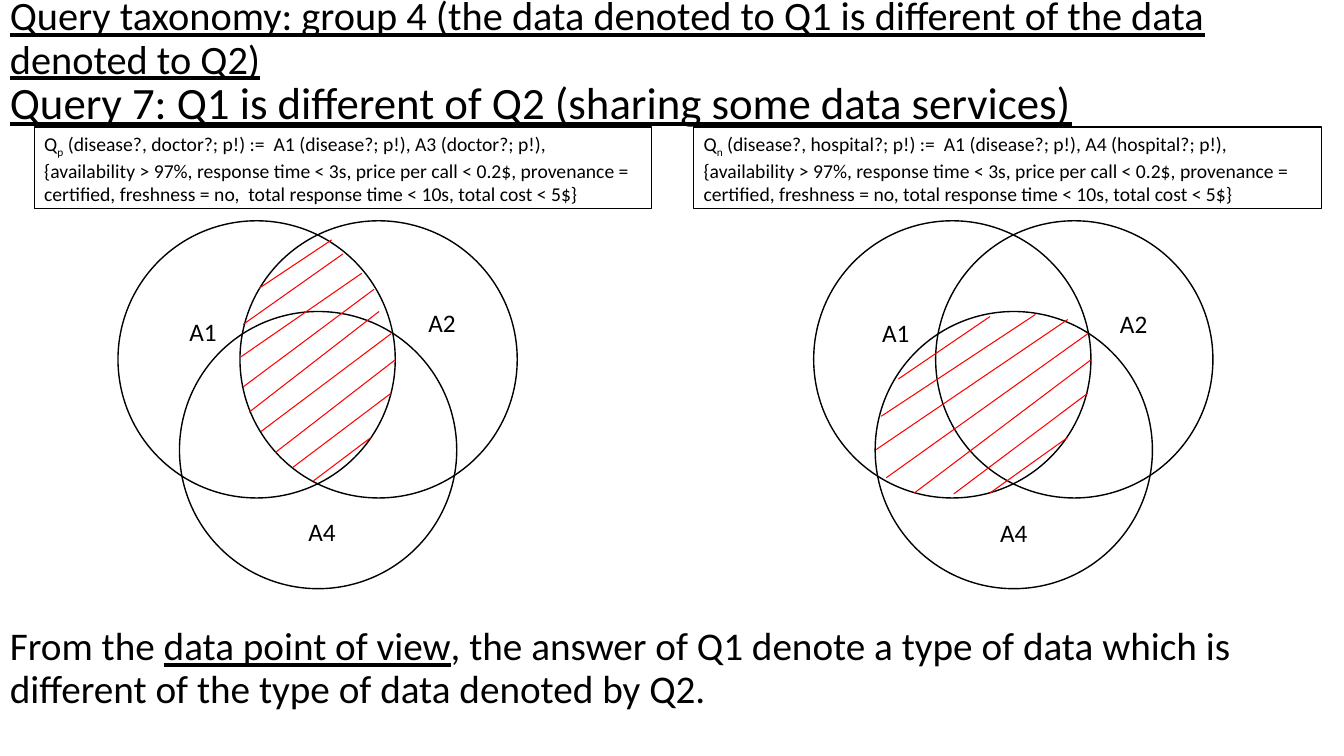
import pptx
import pptx.util
import pptx.dml.color
import pptx.enum.shapes
import pptx.enum.text
import pptx.oxml.ns
from lxml import etree

PX = 9144  # EMU per px, 100 px to the inch
FONT = "Calibri"
COLORS = {name: pptx.dml.color.RGBColor.from_string(value)
          for name, value in {"ink": "000000", "hatch": "FF0000"}.items()}

deck = pptx.Presentation()
deck.slide_width = 1333 * PX
deck.slide_height = 750 * PX
page = deck.slides.add_slide(deck.slide_layouts[6])


def add_text(shapes, bounds, paragraphs, size, wrap=True):
    """Each paragraph is a list of spans."""
    box = shapes.add_textbox(*[value * PX for value in bounds])
    frame = box.text_frame
    frame.word_wrap = wrap
    for number, spans in enumerate(paragraphs):
        para = frame.add_paragraph() if number else frame.paragraphs[0]
        for words in spans:
            span = para.add_run()
            span.text = words
            span.font.name = FONT
            span.font.size = pptx.util.Pt(size)
            span.font.color.rgb = COLORS["ink"]
    return box


# Headings and conclusion
headings = [
    (0, 28.8, "Query taxonomy: group 4 (the data denoted to Q1 is different of the data denoted to Q2)"),
    (65, 32, "Query 7: Q1 is different of Q2 (sharing some data services)"),
]
for top, size, words in headings:
    heading = add_text(page.shapes, (0, top, 1333, 78), [[words]], size)
    heading.text_frame.vertical_anchor = pptx.enum.text.MSO_ANCHOR.MIDDLE
    heading.text_frame.paragraphs[0].line_spacing = 0.9
    heading.text_frame.paragraphs[0].runs[0].font.underline = True

conclusion = add_text(page.shapes, (0, 617, 1333, 109), [[
    "From the ", "data point of view",
    ", the answer of Q1 denote a type of data which is different of the type of data denoted by Q2.",
]], 28)
conclusion.text_frame.paragraphs[0].line_spacing = 0.9
conclusion.text_frame.paragraphs[0].runs[1].font.underline = True

# Query definitions
LIMITS = ("{{availability > 97%, response time < 3s, price per call < 0.2$, provenance = certified, "
          "freshness = no,{gap}total response time < 10s, total cost < 5$}}")
queries = [
    (34, 612, "p", " (disease?, doctor?; p!) :=  A1 (disease?; p!), A3 (doctor?; p!),", "  "),
    (688, 623, "n", " (disease?, hospital?; p!) :=  A1 (disease?; p!), A4 (hospital?; p!),", " "),
]
for left, width, index, definition, gap in queries:
    query = add_text(page.shapes, (left, 126, width, 81),
                     [["Q", index, definition], [LIMITS.format(gap=gap)]], 14)
    query.line.color.rgb = COLORS["ink"]
    query.line.width = pptx.util.Pt(0.75)
    subscript = query.text_frame.paragraphs[0].runs[1]
    subscript.font._element.set("baseline", "-25000")

# Venn diagrams: circle offset, label positions, hatch lines (x1, y1, x2, y2)
CIRCLE = 275
circles = [(117, 219), (238, 219), (178, 309)]
diagrams = [
    (0, {"A1": (178, 309), "A2": (415, 300), "A4": (296, 507)}, [
        (257, 286, 329, 238), (241, 322, 340, 252), (239, 354, 359, 271),
        (241, 384, 371, 287), (247, 409, 376, 309), (259, 428, 388, 331),
        (273, 449, 392, 357), (290, 464, 388, 390), (311, 477, 368, 434)]),
    (690, {"A1": (865, 310), "A2": (1101, 301), "A4": (982, 508)}, [
        (891, 376, 982, 314), (874, 413, 1027, 312), (869, 446, 1059, 317),
        (879, 474, 1079, 331), (907, 489, 1082, 357), (946, 490, 1079, 390),
        (982, 489, 1059, 434)]),
]
for offset, labels, hatches in diagrams:
    diagram = page.shapes.add_group_shape()
    for left, top in circles:
        circle = diagram.shapes.add_shape(
            pptx.enum.shapes.MSO_SHAPE.OVAL,
            (left + offset) * PX, top * PX, CIRCLE * PX, CIRCLE * PX)
        circle.shadow.inherit = False
        circle.fill.background()
        circle.line.color.rgb = COLORS["ink"]
        circle.line.width = pptx.util.Pt(1)
    for ends in hatches:
        hatch = diagram.shapes.add_connector(
            pptx.enum.shapes.MSO_CONNECTOR.STRAIGHT, *[value * PX for value in ends])
        hatch.line.color.rgb = COLORS["hatch"]
        hatch.line.width = pptx.util.Pt(0.75)
        etree.SubElement(hatch._element.spPr, pptx.oxml.ns.qn("a:effectLst"))
    for name, (left, top) in labels.items():
        add_text(diagram.shapes, (left, top, 48, 40), [[name]], 18, wrap=False)

deck.save("out.pptx")
